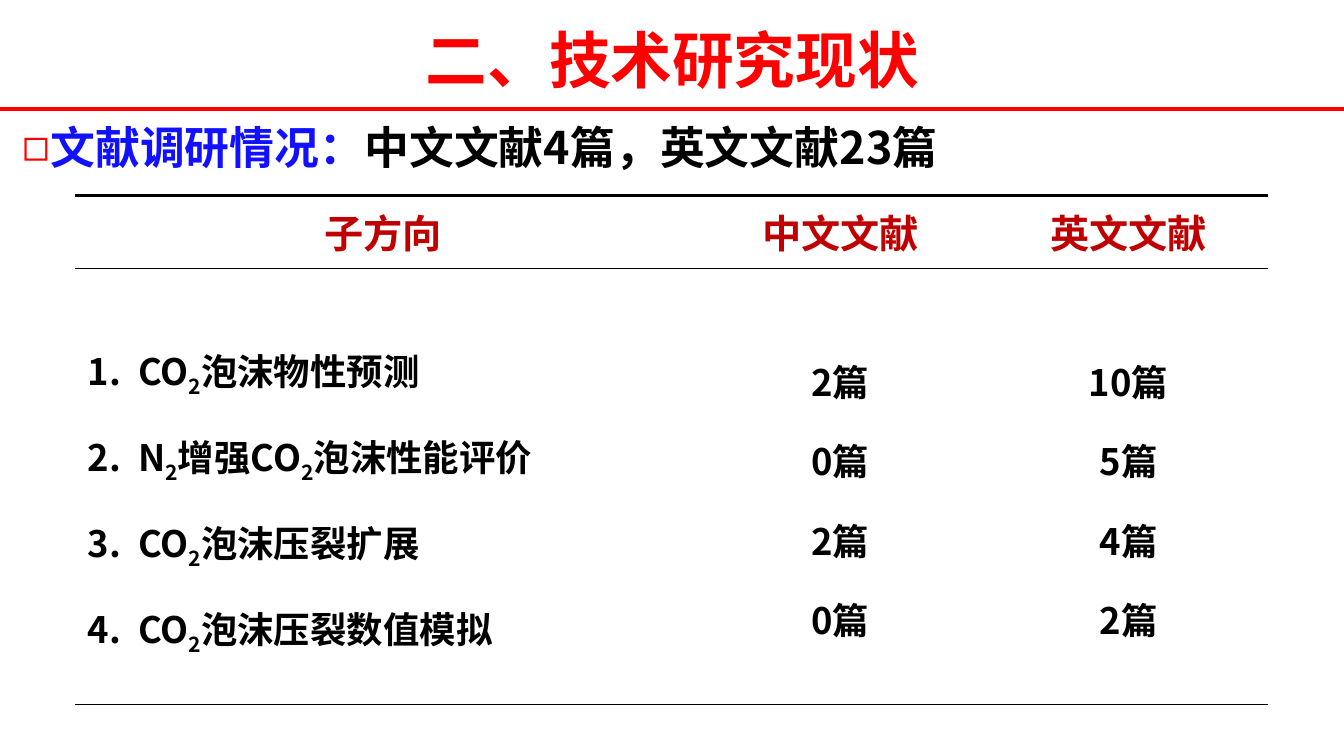
from lxml.etree import SubElement
from pptx import Presentation
from pptx.dml.color import RGBColor
from pptx.enum.shapes import MSO_CONNECTOR
from pptx.enum.text import MSO_ANCHOR, MSO_AUTO_SIZE, PP_ALIGN
from pptx.oxml.ns import qn
from pptx.util import Inches, Pt

COLORS = {
    "red": "FF0000",
    "blue": "1111FF",
    "crimson": "C00000",
    "black": "000000",
    "white": "FFFFFF",
}
FONT = "Noto Sans CJK SC"
HEADINGS = ["子方向", "中文文献", "英文文献"]
TOPICS = [
    ["CO", "2", "泡沫物性预测"],
    ["N", "2", "增强CO", "2", "泡沫性能评价"],
    ["CO", "2", "泡沫压裂扩展"],
    ["CO", "2", "泡沫压裂数值模拟"],
]
CHINESE_COUNTS = [2, 0, 2, 0]
ENGLISH_COUNTS = [10, 5, 4, 2]


class SlideBuilder:
    def __init__(self, slide, font, colors):
        self.slide = slide
        self.font = font
        self.colors = colors

    def rgb(self, color):
        return RGBColor.from_string(self.colors[color])

    def run(self, paragraph, text, size, color, subscript=False):
        run = paragraph.add_run()
        run.text = text
        run.font.size = Pt(size)
        run.font.bold = True
        run.font.color.rgb = self.rgb(color)
        run.font.name = self.font
        properties = run._r.get_or_add_rPr()
        SubElement(properties, qn("a:ea"), typeface=self.font)
        if subscript:
            properties.set("baseline", "-25000")

    def indent(self, paragraph, margin, hanging):
        properties = paragraph._p.get_or_add_pPr()
        properties.set("marL", str(Inches(margin)))
        properties.set("indent", str(-Inches(hanging)))
        return properties

    def place(self, placeholder, left, top, width, height):
        placeholder.left, placeholder.top = Inches(left), Inches(top)
        placeholder.width, placeholder.height = Inches(width), Inches(height)
        placeholder.text_frame.word_wrap = True
        return placeholder.text_frame

    def title(self, text):
        frame = self.place(self.slide.shapes.title, 2.71, 0.19, 7.92, 0.78)
        frame.vertical_anchor = MSO_ANCHOR.MIDDLE
        frame.auto_size = MSO_AUTO_SIZE.NONE
        heading = frame.paragraphs[0]
        heading.alignment = PP_ALIGN.CENTER
        self.run(heading, text, 44, "red")

    def summary(self, label, finding):
        frame = self.place(self.slide.placeholders[1], 0, 1.14, 11.85, 0.64)
        frame.auto_size = MSO_AUTO_SIZE.SHAPE_TO_FIT_TEXT
        statement = frame.paragraphs[0]
        statement.space_before = Pt(0)
        properties = self.indent(statement, 0.4, 0.28)
        bullet_color = SubElement(properties, qn("a:buClr"))
        SubElement(bullet_color, qn("a:srgbClr"), val=self.colors["red"])
        SubElement(properties, qn("a:buChar"), char="◻")
        self.run(statement, label, 32, "blue")
        self.run(statement, finding, 32, "black")

    def rule(self, top, width):
        divider = self.slide.shapes.add_connector(
            MSO_CONNECTOR.STRAIGHT, 0, Inches(top), Inches(width), Inches(top))
        divider.line.color.rgb = self.rgb("red")
        divider.line.width = Pt(3)
        SubElement(divider._element.spPr, qn("a:effectLst"))

    def borders(self, cell, top, bottom):
        properties = cell._tc.get_or_add_tcPr()
        for side, weight in (("L", 0), ("R", 0), ("T", top), ("B", bottom)):
            edge = SubElement(properties, qn(f"a:ln{side}"), w=str(Pt(weight)))
            if weight:
                fill = SubElement(edge, qn("a:solidFill"))
                SubElement(fill, qn("a:srgbClr"), val=self.colors["black"])
            else:
                SubElement(edge, qn("a:noFill"))

    def cell(self, cell, lines, size, color, hanging, spacing=1.0, numbered=False):
        cell.margin_left = cell.margin_right = Inches(0.13)
        cell.margin_top = cell.margin_bottom = Inches(0.07)
        cell.vertical_anchor = MSO_ANCHOR.MIDDLE
        for index, parts in enumerate(lines):
            frame = cell.text_frame
            entry = frame.add_paragraph() if index else frame.paragraphs[0]
            entry.line_spacing = spacing
            properties = self.indent(entry, hanging, hanging)
            if numbered:
                SubElement(properties, qn("a:buFont"), typeface="+mj-lt")
                SubElement(properties, qn("a:buAutoNum"), type="arabicPeriod")
            else:
                entry.alignment = PP_ALIGN.CENTER
            for part in parts:
                self.run(entry, part, size, color, subscript=part == "2")

    def literature_table(self, headings, columns):
        widths, heights = [6.12, 2.95, 2.77], [0.72, 4.33]
        table = self.slide.shapes.add_table(
            len(heights), len(widths), Inches(0.74), Inches(1.94),
            Inches(sum(widths)), Inches(sum(heights))).table
        table.first_row = table.horz_banding = False
        for row, height in zip(table.rows, heights):
            row.height = Inches(height)
        for index, (heading, lines) in enumerate(zip(headings, columns)):
            table.columns[index].width = Inches(widths[index])
            head, body = table.cell(0, index), table.cell(1, index)
            self.cell(head, [[heading]], 28, "crimson", 0.38)
            self.cell(body, lines, 26, "black", 0.5, 1.5, numbered=index == 0)
            self.borders(head, 2, 1)
            self.borders(body, 1, 1)
            for cell in (head, body):
                cell.fill.solid()
                cell.fill.fore_color.rgb = self.rgb("white")


def main():
    presentation = Presentation()
    presentation.slide_width = Inches(13.33)
    presentation.slide_height = Inches(7.5)
    slide = presentation.slides.add_slide(presentation.slide_layouts[1])
    builder = SlideBuilder(slide, FONT, COLORS)
    builder.rule(1.08, 13.33)
    builder.title("二、技术研究现状")
    builder.summary("文献调研情况：", "中文文献4篇，英文文献23篇")
    counts = [[[f"{count}篇"] for count in column]
              for column in (CHINESE_COUNTS, ENGLISH_COUNTS)]
    builder.literature_table(HEADINGS, [TOPICS, *counts])
    presentation.save("out.pptx")


if __name__ == "__main__":
    main()
